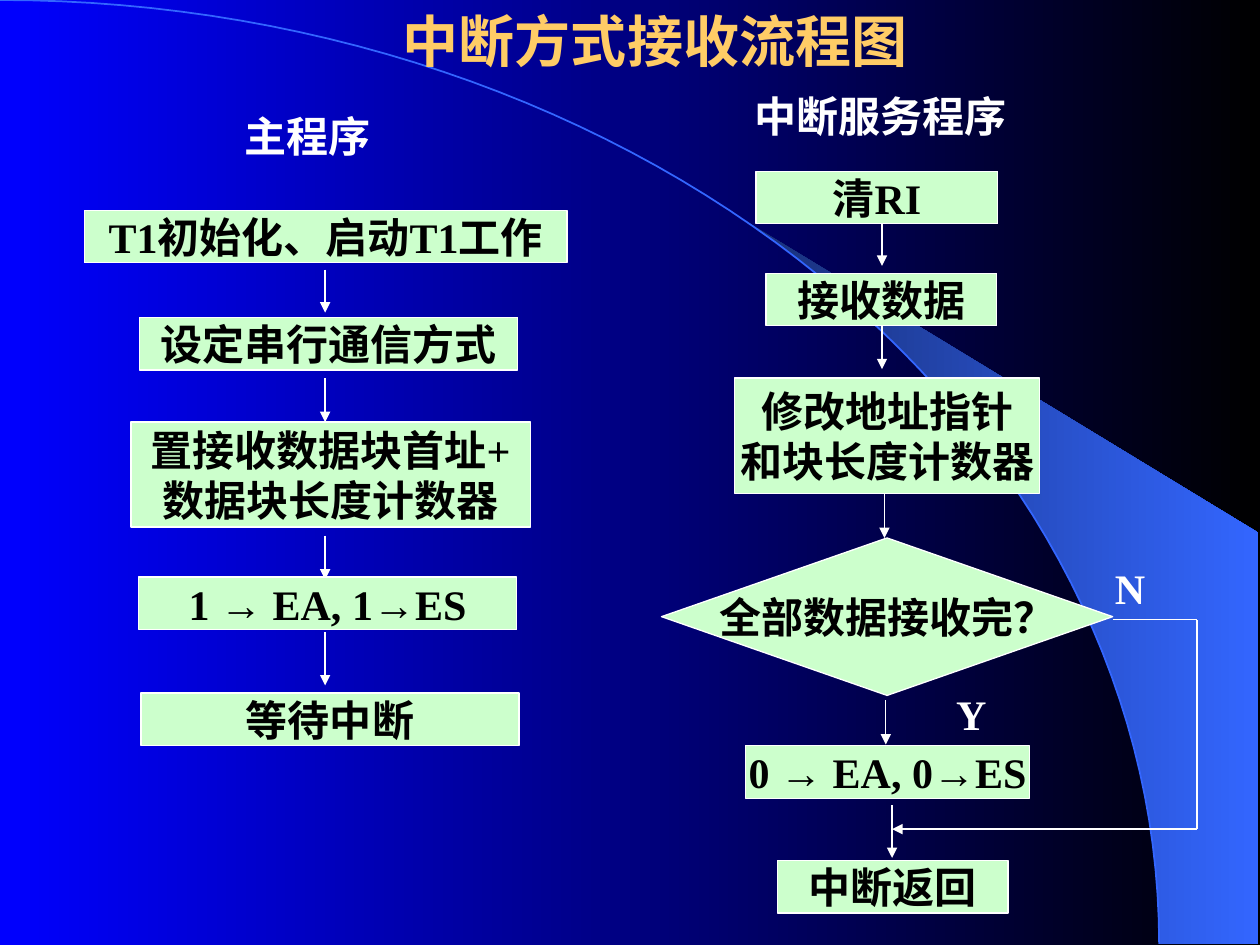
"""Build a slide with the flowchart of interrupt-driven serial reception."""
import itertools
import math

import pptx
import pptx.dml.color
import pptx.enum.lang
import pptx.enum.shapes
import pptx.enum.text
import pptx.oxml
import pptx.oxml.ns
import pptx.util

Pt = pptx.util.Pt
SHAPES = pptx.enum.shapes.MSO_SHAPE
ALIGN = pptx.enum.text.PP_ALIGN
ANCHOR = pptx.enum.text.MSO_ANCHOR
FIT = pptx.enum.text.MSO_AUTO_SIZE

COLORS = {
    "bg_left": "0000FF", "bg_right": "000000", "wedge_left": "182F76",
    "arc": "3366FF", "box": "CCFFCC", "line": "FFFFFF",
    "box_text": "000000", "label": "FFFFFF", "title": "FFCC66",
}
SERIF, SANS = "Times New Roman", "Arial"
LINE_WIDTH, ROW = 0.75, 30

MAIN_STEPS = [
    ("T1初始化、启动T1工作", 48.2, 120.2, 275.8, ROW),
    ("设定串行通信方式", 79.9, 181.4, 216, ROW),
    ("置接收数据块首址+\n数据块长度计数器", 74.9, 241.2, 228.2, 60),
    ("1 → EA, 1→ES", 79.2, 329.8, 216, ROW),
    ("等待中断", 80.6, 396, 216, ROW),
]
SERVICE_STEPS = [
    ("清RI", 432, 97.9, 138.2, ROW),
    ("接收数据", 437.8, 156.2, 131.8, ROW),
    ("修改地址指针\n和块长度计数器", 419.8, 216, 174.2, 66),
    ("0 → EA, 0→ES", 426.2, 426.2, 162, ROW),
    ("中断返回", 444.2, 491.8, 131.8, ROW),
]
DECISION = ("全部数据接收完？", 378, 307.4, 257.8, 90)
LABELS = [
    ("中断方式接收流程图", 223.2, 0, 304, 46, SANS, 32, "title"),
    ("中断服务程序", 424.1, 48.2, 160, 36, SERIF, 24, "label"),
    ("主程序", 132.5, 59.8, 88, 36, SERIF, 24, "label"),
    ("Y", 539.3, 390.2, 36, 36, SERIF, 24, "label"),
    ("N", 630, 318.2, 36, 36, SERIF, 24, "label"),
]
DOWN_ARROWS = [
    (185.8, 154.1, 178.6), (185.8, 216, 241.2), (185.8, 306, 331.2),
    (185.8, 361.4, 391.7), (504, 115.9, 151.9), (504, 185.8, 211),
    (505.4, 265.7, 307.4), (506.2, 400.3, 425.5), (509.8, 460.1, 490.3),
]
NO_BRANCH = [(635.8, 354.2), (684, 354.2), (684, 473.8), (509.8, 473.8)]
ARC_RX, ARC_RY, ARC_STEPS = 662.4, 539.3, 60
WEDGE_X, WEDGE_CORNERS = 424.1, [(719.3, 539.3), (719.3, 304.6)]


def rgb(name):
    return pptx.dml.color.RGBColor.from_string(COLORS[name])


def set_gradient(fill, *names):
    fill.gradient()
    fill.gradient_angle = 0
    for stop, name, position in zip(fill.gradient_stops, names, (0, 1)):
        stop.color.rgb = rgb(name)
        stop.position = position


def arc_points(start_x):
    start = math.asin(start_x / ARC_RX)
    angles = [start + (math.pi / 2 - start) * i / ARC_STEPS
              for i in range(ARC_STEPS + 1)]
    return [(ARC_RX * math.sin(a), ARC_RY * (1 - math.cos(a))) for a in angles]


def add_outline(s, points, close):
    points = [(Pt(x), Pt(y)) for x, y in points]
    builder = s.shapes.build_freeform(*points[0])
    builder.add_line_segments(points[1:], close=close)
    sp = builder.convert_to_shape()
    sp.shadow.inherit = False
    return sp


def add_line(s, start, end, arrow=True):
    ends = [Pt(v) for v in (*start, *end)]
    sp = s.shapes.add_connector(pptx.enum.shapes.MSO_CONNECTOR.STRAIGHT, *ends)
    sp.line.color.rgb = rgb("line")
    sp.line.width = Pt(LINE_WIDTH)
    if arrow:
        ln = sp.line._get_or_add_ln()
        tail = pptx.oxml.parse_xml(
            '<a:tailEnd %s type="triangle"/>' % pptx.oxml.ns.nsdecls("a"))
        ln.append(tail)
    sp._element.spPr.append(pptx.oxml.parse_xml(
        "<a:effectLst %s/>" % pptx.oxml.ns.nsdecls("a")))


def write_text(sp, text, font, size, color, align, anchor, fit):
    tf = sp.text_frame
    frame = {"word_wrap": False, "auto_size": fit, "vertical_anchor": anchor,
             "margin_left": Pt(7.2), "margin_right": Pt(7.2),
             "margin_top": Pt(3.6), "margin_bottom": Pt(3.6)}
    for name, value in frame.items():
        setattr(tf, name, value)
    for i, line in enumerate(text.split("\n")):
        p = tf.add_paragraph() if i else tf.paragraphs[0]
        p.alignment = align
        for is_arrow, chars in itertools.groupby(line, lambda c: c == "→"):
            r = p.add_run()
            r.text = "".join(chars)
            look = {"name": SANS if is_arrow else font, "size": Pt(size),
                    "bold": True,
                    "language_id": pptx.enum.lang.MSO_LANGUAGE_ID.SIMPLIFIED_CHINESE}
            for name, value in look.items():
                setattr(r.font, name, value)
            r.font.color.rgb = rgb(color)


def add_step(s, kind, text, *place):
    sp = s.shapes.add_shape(kind, *map(Pt, place))
    sp.shadow.inherit = False
    sp.fill.solid()
    sp.fill.fore_color.rgb = rgb("box")
    sp.line.color.rgb = rgb("line")
    sp.line.width = Pt(LINE_WIDTH)
    write_text(sp, text, SERIF, 24, "box_text", ALIGN.CENTER, ANCHOR.MIDDLE,
               FIT.NONE)


def main():
    prs = pptx.Presentation()
    prs.slide_width, prs.slide_height = Pt(720), Pt(540)
    s = prs.slides.add_slide(prs.slide_layouts[6])
    set_gradient(s.background.fill, "bg_left", "bg_right")

    wedge = add_outline(s, arc_points(WEDGE_X) + WEDGE_CORNERS, True)
    set_gradient(wedge.fill, "wedge_left", "arc")
    wedge.line.fill.background()
    arc = add_outline(s, arc_points(0), False)
    arc.fill.background()
    arc.line.color.rgb = rgb("arc")
    arc.line.width = Pt(1)

    for x, top, bottom in DOWN_ARROWS:
        add_line(s, (x, top), (x, bottom))
    for start, end in zip(NO_BRANCH, NO_BRANCH[1:]):
        add_line(s, start, end, arrow=end == NO_BRANCH[-1])
    for step in MAIN_STEPS + SERVICE_STEPS:
        add_step(s, SHAPES.FLOWCHART_PROCESS, *step)
    add_step(s, SHAPES.FLOWCHART_DECISION, *DECISION)
    for text, x, y, w, h, font, size, color in LABELS:
        sp = s.shapes.add_textbox(*map(Pt, (x, y, w, h)))
        write_text(sp, text, font, size, color, ALIGN.LEFT, ANCHOR.TOP,
                   FIT.SHAPE_TO_FIT_TEXT)
    prs.save("out.pptx")


if __name__ == "__main__":
    main()
